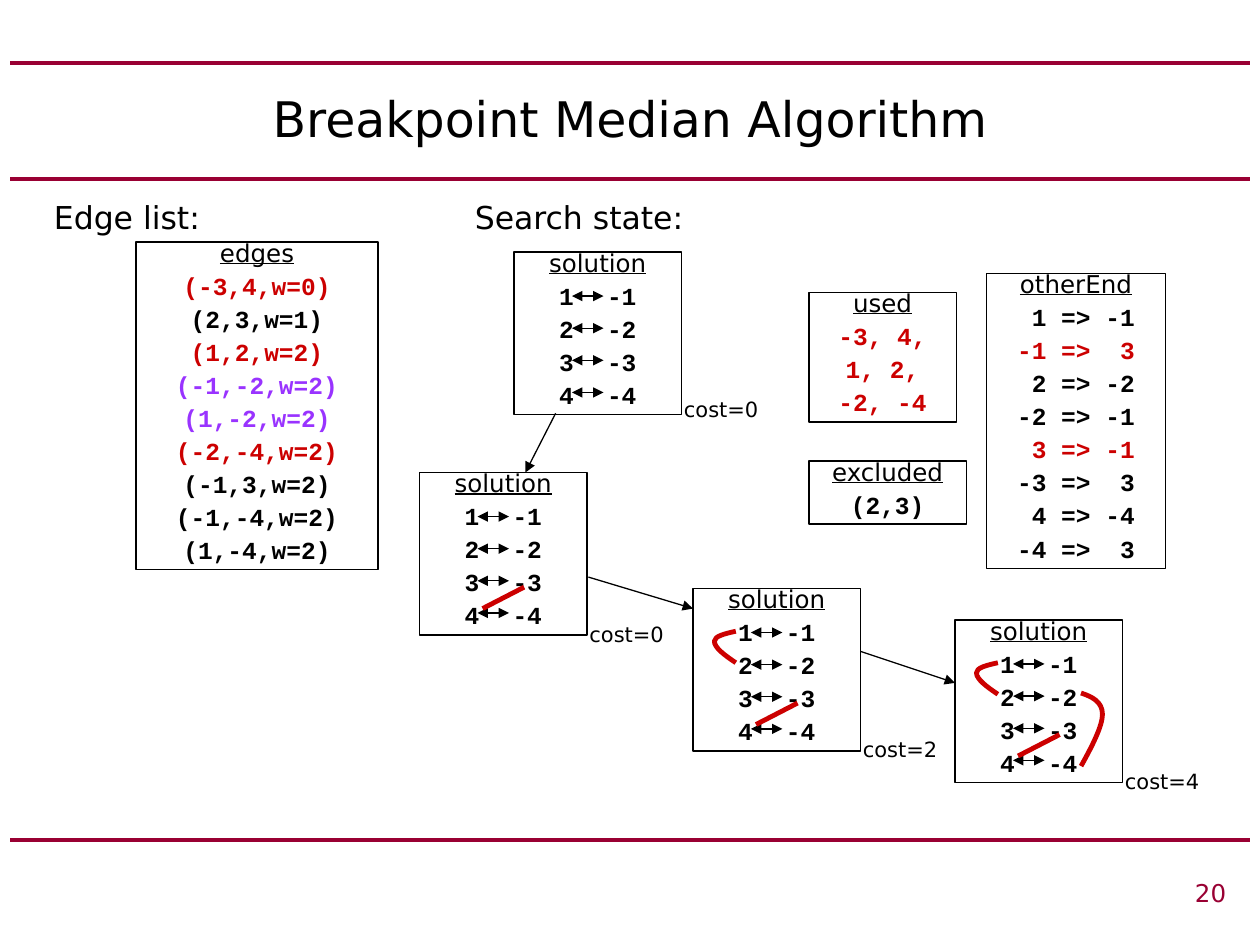
from lxml.etree import SubElement
from pptx import Presentation
from pptx.dml.color import RGBColor
from pptx.enum.shapes import MSO_CONNECTOR, MSO_SHAPE
from pptx.enum.text import MSO_ANCHOR, MSO_AUTO_SIZE, PP_ALIGN
from pptx.oxml.ns import qn
from pptx.util import Inches, Pt

COLORS = {"ink": "000000", "rule": "990033", "chosen": "CC0000", "skipped": "9933FF"}
SANS, MONO = "DejaVu Sans", "Courier New"
TAB_STOPS = [0.38, 1, 2, 3]

# Rows of the state lists: (text, colour)
EDGES = [("(-3,4,w=0)", "chosen"), ("(2,3,w=1)", "ink"), ("(1,2,w=2)", "chosen"),
         ("(-1,-2,w=2)", "skipped"), ("(1,-2,w=2)", "skipped"),
         ("(-2,-4,w=2)", "chosen"), ("(-1,3,w=2)", "ink"),
         ("(-1,-4,w=2)", "ink"), ("(1,-4,w=2)", "ink")]
USED = [("-3, 4,", "chosen"), ("1, 2,", "chosen"), ("-2, -4", "chosen")]
OTHER_END = [(" 1 => -1", "ink"), ("-1 =>  3", "chosen"), (" 2 => -2", "ink"),
             ("-2 => -1", "ink"), (" 3 => -1", "chosen"), ("-3 =>  3", "ink"),
             (" 4 => -4", "ink"), ("-4 =>  3", "ink")]
PAIRS = [(f"{n}\t-{n}", "ink") for n in range(1, 5)]

# Chosen edges, as offsets from the corner of a solution box
EDGE_3_4 = [(0.83, 0.91), (0.5, 1.08)]
EDGE_1_2 = [(0.34, 0.34), (0.25, 0.36), (0.17, 0.38), (0.17, 0.42),
            (0.17, 0.47), (0.25, 0.53), (0.34, 0.59)]
EDGE_2_4 = [(1, 0.58), (1.09, 0.61), (1.17, 0.65), (1.17, 0.75),
            (1.17, 0.84), (1.09, 1), (1, 1.16)]

# Search steps: left, top, drop to the cost label, cost, chosen edges
STEPS = [(4.08, 2, 1.17, 0, []),
         (3.33, 3.75, 1.2, 0, [EDGE_3_4]),
         (5.5, 4.67, 1.2, 2, [EDGE_3_4, EDGE_1_2]),
         (7.58, 4.92, 1.2, 4, [EDGE_3_4, EDGE_1_2, EDGE_2_4])]
STEP_ARROWS = [((4.41, 3.28), (4.17, 3.75)), ((4.67, 4.58), (5.5, 4.83)),
               ((6.83, 5.17), (7.58, 5.42))]


def color(name):
    return RGBColor.from_string(COLORS[name])


def add_run(paragraph, text, size, color_name="ink", font=SANS, bold=False, underline=False):
    run = paragraph.add_run()
    run.text = text
    run.font.name, run.font.size = font, Pt(size)
    run.font.bold, run.font.underline = bold, underline
    run.font.color.rgb = color(color_name)


def add_label(slide, text, box, size, align=PP_ALIGN.LEFT, color_name="ink",
              before=0, spacing=1, anchor=MSO_ANCHOR.TOP):
    frame = slide.shapes.add_textbox(*map(Inches, box)).text_frame
    frame.word_wrap = True
    frame.vertical_anchor = anchor
    line = frame.paragraphs[0]
    line.alignment, line.line_spacing, line.space_before = align, spacing, Pt(before)
    add_run(line, text, size, color_name)


def add_line(slide, start, end, color_name="ink", width=0.75, heads=()):
    line = slide.shapes.add_connector(MSO_CONNECTOR.STRAIGHT, *map(Inches, start + end))
    line.line.color.rgb = color(color_name)
    line.line.width = Pt(width)
    outline = line.line._get_or_add_ln()
    for head in heads:
        SubElement(outline, qn(f"a:{head}"), type="triangle")
    SubElement(line._element.spPr, qn("a:effectLst"))


def add_curve(slide, points):
    """Draw cubic curves through a start point and groups of three points."""
    start, *rest = [tuple(map(Inches, point)) for point in points]
    builder = slide.shapes.build_freeform(*start)
    builder.add_line_segments(rest, close=False)
    curve = builder.convert_to_shape()
    curve.shadow.inherit = False
    curve.fill.background()
    curve.line.color.rgb = color("chosen")
    curve.line.width = Pt(2.75)
    segments = list(curve._element.iter(qn("a:lnTo")))
    outline = segments[0].getparent()
    for first in range(0, len(segments), 3):
        bezier = SubElement(outline, qn("a:cubicBezTo"))
        for segment in segments[first:first + 3]:
            bezier.append(segment[0])
            outline.remove(segment)


def add_list_box(slide, heading, rows, box):
    """Outlined box with an underlined heading over monospaced rows."""
    panel = slide.shapes.add_shape(MSO_SHAPE.RECTANGLE, *map(Inches, box))
    panel.shadow.inherit = False
    panel.fill.background()
    panel.line.color.rgb = color("ink")
    panel.line.width = Pt(0.75)
    frame = panel.text_frame
    frame.word_wrap = True
    frame.auto_size = MSO_AUTO_SIZE.SHAPE_TO_FIT_TEXT
    frame.vertical_anchor = MSO_ANCHOR.TOP
    for index, (text, color_name) in enumerate([(heading, "ink")] + rows):
        row = frame.add_paragraph() if index else frame.paragraphs[0]
        row.alignment, row.line_spacing, row.space_before = PP_ALIGN.CENTER, 0.6, Pt(8.8)
        tabs = SubElement(row._p.get_or_add_pPr(), qn("a:tabLst"))
        for stop in TAB_STOPS:
            SubElement(tabs, qn("a:tab"), pos=str(Inches(stop)), algn="l")
        if index:
            add_run(row, text, 14, color_name, MONO, bold=True)
        else:
            add_run(row, text, 14, underline=True)


def add_solution(slide, left, top, cost_drop, cost, edges):
    add_list_box(slide, "solution", PAIRS, (left, top, 1.33, 1.29))
    for index in range(len(PAIRS)):
        y = top + 0.35 + 0.255 * index
        add_line(slide, (left + 0.46, y), (left + 0.71, y), heads=("headEnd", "tailEnd"))
    for edge in edges:
        points = [(left + x, top + y) for x, y in edge]
        if len(points) == 2:
            add_line(slide, *points, "chosen", 2.75)
        else:
            add_curve(slide, points)
    add_label(slide, f"cost={cost}", (left + 1.25, top + cost_drop, 0.92, 0.22), 12,
              before=7.5, spacing=0.6)


def main():
    deck = Presentation()
    deck.slide_width, deck.slide_height = Inches(10), Inches(7.5)
    slide = deck.slides.add_slide(deck.slide_layouts[6])

    # Frame: rules, title and page number
    for y in (0.5, 1.42, 6.67):
        add_line(slide, (0.08, y), (9.92, y), "rule", 2.25)
    add_label(slide, "Breakpoint Median Algorithm", (0.5, 0.5, 9, 0.87), 28,
              PP_ALIGN.CENTER, anchor=MSO_ANCHOR.MIDDLE)
    add_label(slide, "20", (2.83, 6.92, 7, 0.33), 14, PP_ALIGN.RIGHT, "rule")

    # Section headings
    for text, left in (("Edge list:", 0.33), ("Search state:", 3.67)):
        add_label(slide, text, (left, 1.52, 2.83, 0.4), 18, before=11.2)

    # Edge list and search state
    add_list_box(slide, "edges", EDGES, (1.08, 1.92, 1.92, 2.6))
    add_list_box(slide, "used", USED, (6.42, 2.32, 1.17, 1.03))
    add_list_box(slide, "excluded", [("(2,3)", "ink")], (6.42, 3.66, 1.25, 0.5))
    add_list_box(slide, "otherEnd", OTHER_END, (7.83, 2.17, 1.42, 2.34))

    # Successive solutions
    for step in STEPS:
        add_solution(slide, *step)
    for start, end in STEP_ARROWS:
        add_line(slide, start, end, heads=("tailEnd",))

    deck.save("out.pptx")


if __name__ == "__main__":
    main()
